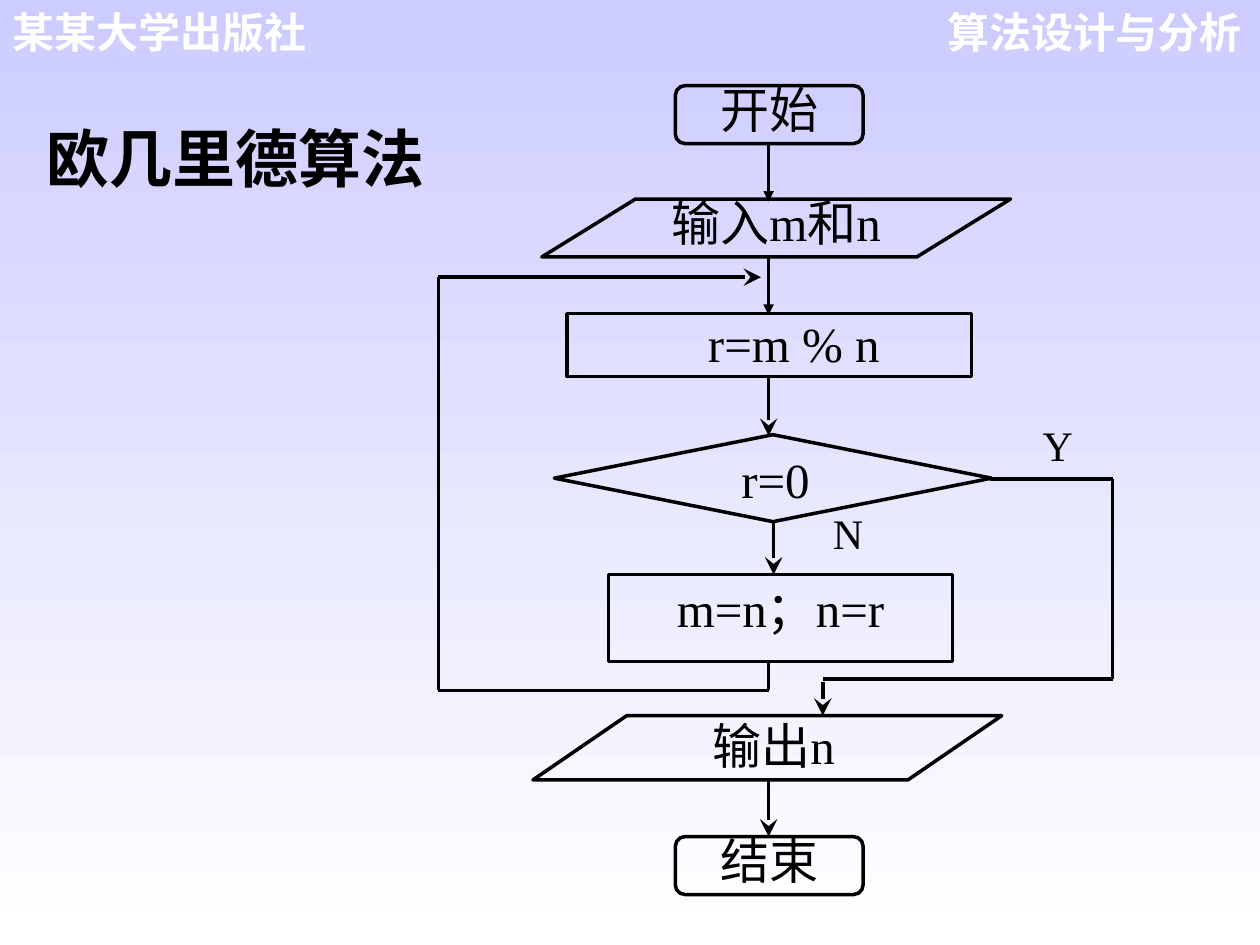
from pptx import Presentation
from pptx.dml.color import RGBColor
from pptx.enum.shapes import MSO_CONNECTOR, MSO_SHAPE
from pptx.enum.text import MSO_ANCHOR, MSO_AUTO_SIZE, PP_ALIGN
from pptx.oxml.ns import qn
from pptx.util import Inches, Pt
from lxml import etree

TERMINAL = MSO_SHAPE.FLOWCHART_ALTERNATE_PROCESS
IN_OUT = MSO_SHAPE.FLOWCHART_DATA
PROCESS = MSO_SHAPE.FLOWCHART_PROCESS
DECISION = MSO_SHAPE.FLOWCHART_DECISION
STRAIGHT = MSO_CONNECTOR.STRAIGHT
TOP = MSO_ANCHOR.TOP
NO_AUTOFIT = MSO_AUTO_SIZE.NONE
LEFT, CENTER, RIGHT = PP_ALIGN.LEFT, PP_ALIGN.CENTER, PP_ALIGN.RIGHT

BLACK, WHITE, LAVENDER = "000000", "FFFFFF", "CCCCFF"
SANS, SERIF = "Arial", "Times New Roman"
LINE_WIDTH = Pt(2)
TEXT_BOX_INSETS = (0.1, 0.05, 0.1, 0.05)
NO_INSETS = (0, 0, 0, 0)

SPINE = 6.1          # x of the main flow
LOOP_LEFT = 3.48     # x of the path back to the remainder step
EXIT_RIGHT = 8.83    # x of the path from the decision to the output
EXIT_DROP = 6.53     # x where the exit path enters the output


def color(hex_value):
    return RGBColor.from_string(hex_value)


def place(shape, at):
    shape.left, shape.top, shape.width, shape.height = map(Inches, at)


def write(shape, text, size, font, hex_value=BLACK, align=CENTER,
          bold=False, insets=NO_INSETS, spacing=1.0):
    frame = shape.text_frame
    frame.word_wrap = True
    frame.auto_size = NO_AUTOFIT
    frame.vertical_anchor = TOP
    (frame.margin_left, frame.margin_top,
     frame.margin_right, frame.margin_bottom) = map(Inches, insets)
    paragraph = frame.paragraphs[0]
    paragraph.alignment = align
    paragraph.line_spacing = spacing
    run = paragraph.add_run()
    run.text = text
    run.font.size = Pt(size)
    run.font.name = font
    run.font.bold = bold
    run.font.color.rgb = color(hex_value)


def add_label(slide, at, text, size, font, **style):
    label = slide.shapes.add_textbox(*map(Inches, at))
    write(label, text, size, font, **style)


def add_step(slide, kind, at, text="", insets=NO_INSETS, spacing=1.0):
    step = slide.shapes.add_shape(kind, *map(Inches, at))
    step.shadow.inherit = False
    step.fill.background()
    step.line.color.rgb = color(BLACK)
    step.line.width = LINE_WIDTH
    if text:
        write(step, text, 28, SERIF, insets=insets, spacing=spacing)


def add_flow(slide, start, end, head=None):
    flow = slide.shapes.add_connector(STRAIGHT, *map(Inches, start + end))
    flow.line.color.rgb = color(BLACK)
    flow.line.width = LINE_WIDTH
    properties = flow._element.spPr
    if head:
        size = "lg" if head == "stealth" else "med"
        etree.SubElement(properties.find(qn("a:ln")), qn("a:tailEnd"),
                         type=head, w=size, len=size)
    etree.SubElement(properties, qn("a:effectLst"))


def set_background(slide):
    fill = slide.background.fill
    fill.gradient()
    fill.gradient_angle = 270
    for stop, hex_value in zip(fill.gradient_stops, (LAVENDER, WHITE)):
        stop.color.rgb = color(hex_value)


def add_headings(slide):
    for left, text, align in ((7.24, "算法设计与分析", RIGHT),
                              (0, "某某大学出版社", LEFT)):
        add_label(slide, (left, 0, 2.71, 0.5), text, 24, SANS,
                  hex_value=WHITE, align=align, bold=True,
                  insets=TEXT_BOX_INSETS)
    title = slide.shapes.title
    place(title, (0.27, 0.9, 5.28, 0.7))
    write(title, "欧几里德算法", 36, SANS, align=LEFT, bold=True,
          insets=TEXT_BOX_INSETS)


def add_steps(slide):
    for top, text in ((0.68, "开始"), (6.64, "结束")):
        add_step(slide, TERMINAL, (5.36, top, 1.49, 0.46), text,
                 (0.06, 0, 0.06, 0), 0.85)
    add_step(slide, IN_OUT, (4.3, 1.58, 3.72, 0.46), "输入m和n",
             (0.02, 0, 0.02, 0), 0.9)
    add_step(slide, PROCESS, (4.5, 2.49, 3.21, 0.5), "r=m % n",
             (0.41, 0, 0.02, 0))
    add_step(slide, DECISION, (4.4, 3.45, 3.47, 0.69))
    add_step(slide, PROCESS, (4.83, 4.56, 2.73, 0.69), "m=n；n=r",
             (0.1, 0.12, 0.1, 0), 0.8)
    add_step(slide, IN_OUT, (4.23, 5.68, 3.72, 0.51), "输出n",
             (0.16, 0, 0.06, 0))

    # Condition and its two branches
    add_label(slide, (5.82, 3.57, 0.67, 0.37), "r=0", 28, SERIF)
    add_label(slide, (6.57, 4.03, 0.32, 0.38), "N", 24, SERIF)
    add_label(slide, (8.13, 3.33, 0.53, 0.38), "Y", 24, SERIF)


def add_flows(slide):
    # Main flow, top to bottom
    for x, top, bottom, head in ((SPINE, 1.14, 1.6, "triangle"),
                                 (SPINE, 2.04, 2.5, "triangle"),
                                 (SPINE, 3, 3.46, "stealth"),
                                 (6.14, 4.13, 4.56, "stealth"),
                                 (SPINE, 6.18, 6.64, "stealth")):
        add_flow(slide, (x, top), (x, bottom), head)

    # Exit when the remainder is zero
    add_flow(slide, (7.86, 3.8), (EXIT_RIGHT, 3.8))
    add_flow(slide, (EXIT_RIGHT, 3.8), (EXIT_RIGHT, 5.39))
    add_flow(slide, (EXIT_RIGHT, 5.39), (EXIT_DROP, 5.39))
    add_flow(slide, (EXIT_DROP, 5.41), (EXIT_DROP, 5.68), "stealth")

    # Loop back to the remainder step
    add_flow(slide, (SPINE, 5.24), (SPINE, 5.48))
    add_flow(slide, (SPINE, 5.48), (LOOP_LEFT, 5.48))
    add_flow(slide, (LOOP_LEFT, 5.48), (LOOP_LEFT, 2.2))
    add_flow(slide, (LOOP_LEFT, 2.2), (6.04, 2.2), "stealth")


def main():
    deck = Presentation()
    deck.slide_width, deck.slide_height = Inches(10), Inches(7.5)
    title_only = deck.slide_layouts[5]
    slide = deck.slides.add_slide(title_only)
    set_background(slide)
    add_headings(slide)
    add_steps(slide)
    add_flows(slide)
    deck.save("out.pptx")


if __name__ == "__main__":
    main()
